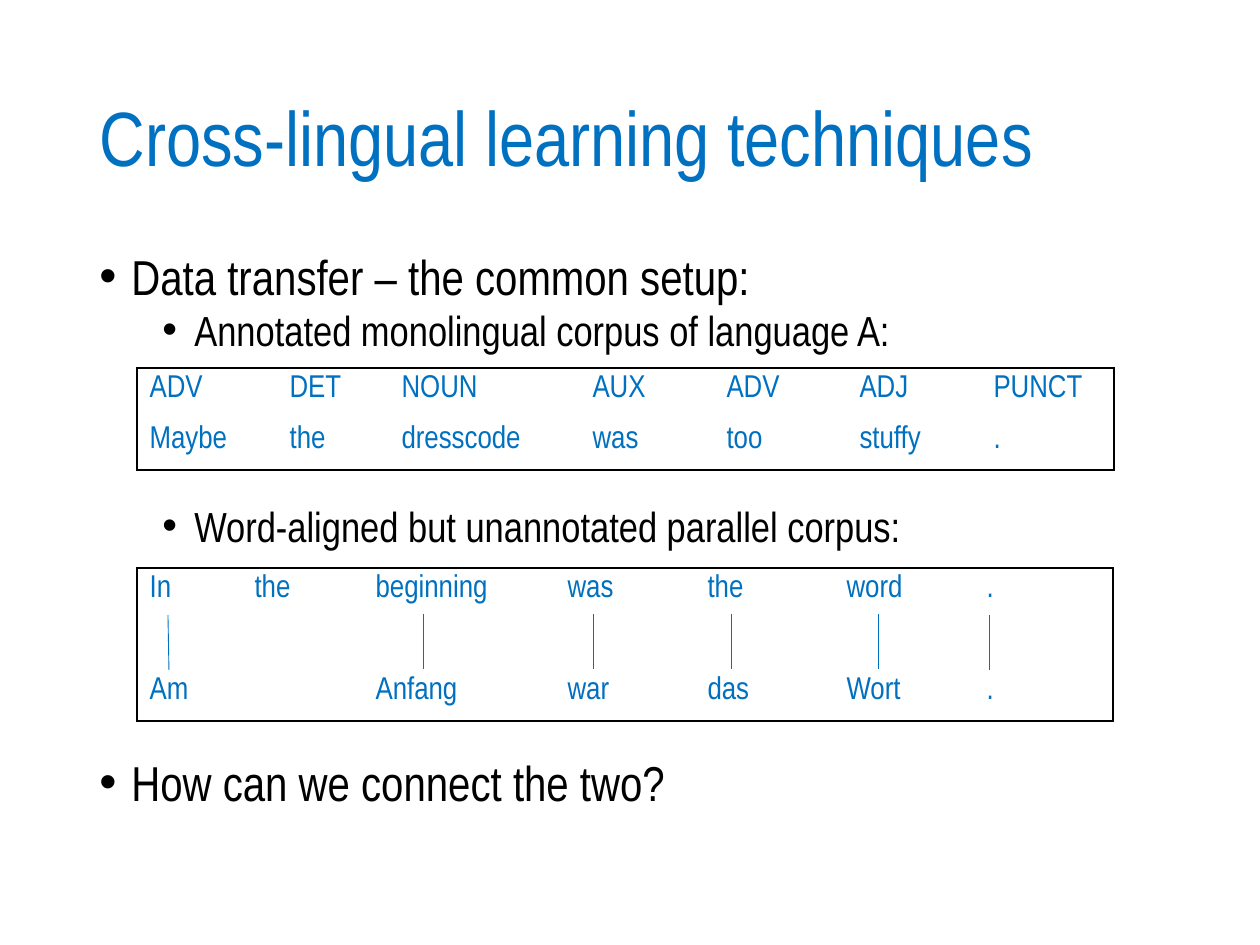
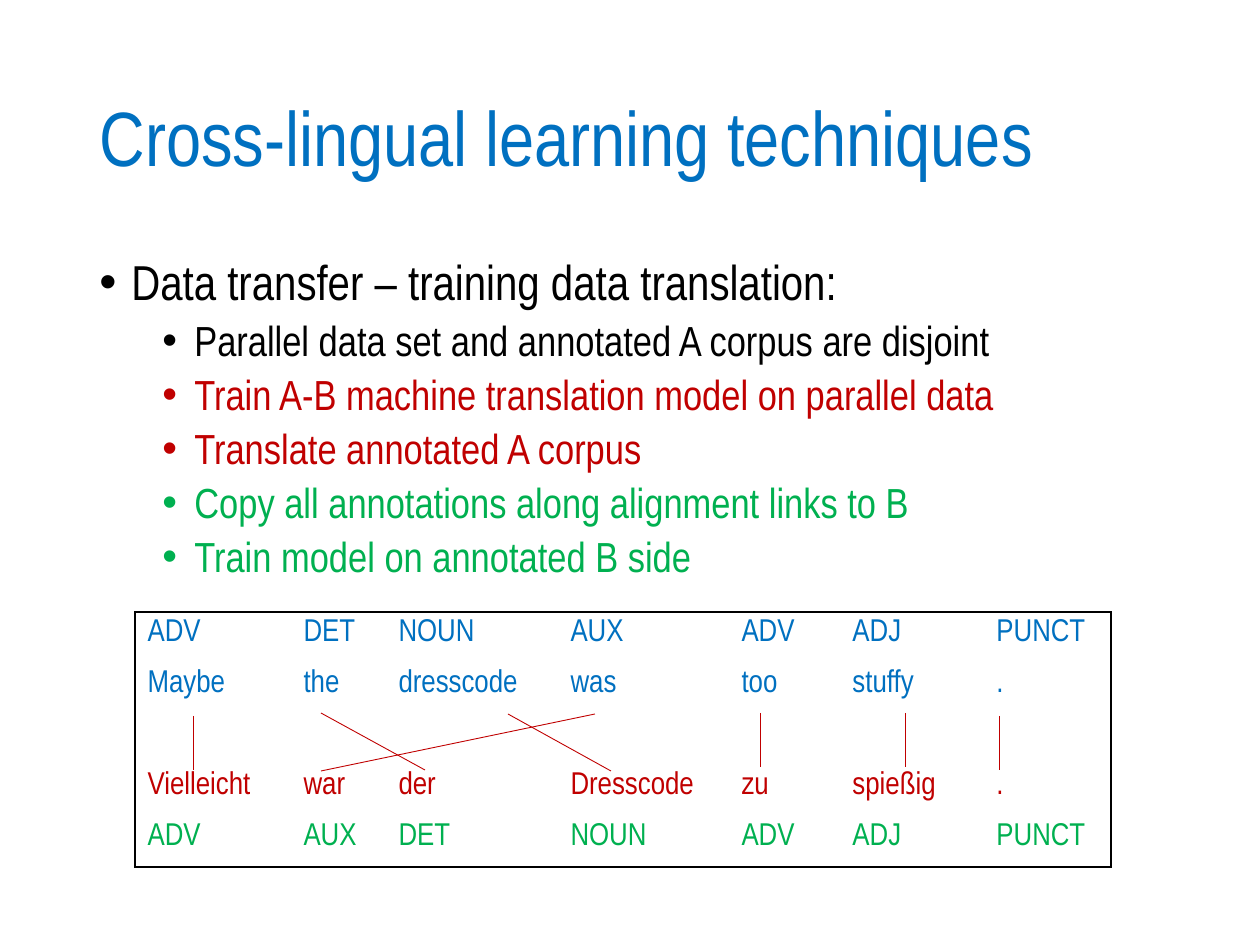
import dataclasses

import pptx
import pptx.dml.color
import pptx.enum.shapes
import pptx.enum.text
import pptx.oxml.ns
import pptx.util
from lxml import etree


@dataclasses.dataclass(frozen=True)
class Theme:
    """Colours, type sizes and line widths shared by the slides."""
    font: str = "Arial Narrow"
    blue: str = "0070C0"
    red: str = "C00000"
    green: str = "00B050"
    black: str = "000000"
    title_size: int = 44
    body_sizes: tuple = (28, 24)
    table_size: int = 18
    border: float = 1
    link: float = 0.5


THEME = Theme()
PX_PER_INCH = 126
SLIDE_SIZE = (1260, 945)
TITLE_BOX = (87, 50, 1086, 183)
BODY_BOX = (87, 252, 1086, 600)
ROW_HEIGHT = 51
HANGING = 32
BULLET_INDENTS = (32, 95)
SPACE_BEFORE = (10, 5)
TITLE = "Cross-lingual learning techniques"


def px(length):
    """Turn px into EMU."""
    return pptx.util.Emu(round(length * 914400 / PX_PER_INCH))


def rgb(value):
    """Turn a hex string into a colour."""
    return pptx.dml.color.RGBColor.from_string(value)


def add_run(paragraph, text, size, color):
    """Add one formatted run to a paragraph."""
    run = paragraph.add_run()
    run.text = text
    run.font.name = THEME.font
    run.font.size = pptx.util.Pt(size)
    run.font.color.rgb = rgb(color)


def add_titled_slide(presentation):
    """Add a title-only slide with its title placed and formatted."""
    slide = presentation.slides.add_slide(presentation.slide_layouts[5])
    title = slide.shapes.title
    title.left, title.top, title.width, title.height = map(px, TITLE_BOX)
    frame = title.text_frame
    frame.word_wrap = True
    frame.vertical_anchor = pptx.enum.text.MSO_ANCHOR.MIDDLE
    paragraph = frame.paragraphs[0]
    paragraph.alignment = pptx.enum.text.PP_ALIGN.LEFT
    paragraph.line_spacing = 0.9
    add_run(paragraph, TITLE, THEME.title_size, THEME.blue)
    return slide


def add_bullets(slide, box, items, line_spacing):
    """Add bullets given as (level, text, colour, extra space before)."""
    frame = slide.shapes.add_textbox(*map(px, box)).text_frame
    frame.word_wrap = True
    for index, (level, text, color, gap) in enumerate(items):
        paragraph = frame.add_paragraph() if index else frame.paragraphs[0]
        properties = paragraph._p.get_or_add_pPr()
        properties.set("marL", str(px(BULLET_INDENTS[level])))
        properties.set("indent", str(-px(HANGING)))
        font = etree.SubElement(properties, pptx.oxml.ns.qn("a:buFont"))
        font.set("typeface", "Arial")
        bullet = etree.SubElement(properties, pptx.oxml.ns.qn("a:buChar"))
        bullet.set("char", "•")
        paragraph.level = level
        paragraph.line_spacing = line_spacing
        if index:
            paragraph.space_before = pptx.util.Pt(SPACE_BEFORE[level] + gap)
        add_run(paragraph, text, THEME.body_sizes[level], color)


def set_borders(cell, edges):
    """Draw the borders marked true in edges and clear the others."""
    properties = cell._tc.get_or_add_tcPr()
    for name, drawn in edges.items():
        line = etree.SubElement(properties, pptx.oxml.ns.qn(f"a:{name}"))
        line.set("w", str(pptx.util.Pt(THEME.border)))
        if drawn:
            fill = etree.SubElement(line, pptx.oxml.ns.qn("a:solidFill"))
            color = etree.SubElement(fill, pptx.oxml.ns.qn("a:srgbClr"))
            color.set("val", THEME.black)
        else:
            etree.SubElement(line, pptx.oxml.ns.qn("a:noFill"))


def add_links(slide, left, top, links, color):
    """Draw alignment links whose ends are relative to the table corner."""
    for x1, y1, x2, y2 in links:
        connector = slide.shapes.add_connector(
            pptx.enum.shapes.MSO_CONNECTOR.STRAIGHT,
            px(left + x1), px(top + y1), px(left + x2), px(top + y2))
        connector.line.color.rgb = rgb(color)
        connector.line.width = pptx.util.Pt(THEME.link)
        etree.SubElement(connector._element.spPr, pptx.oxml.ns.qn("a:effectLst"))


def add_corpus(slide, left, top, widths, rows, links=(), link_color=THEME.blue):
    """Add an outlined table of (colour, words) rows and its links."""
    last_row, last_column = len(rows) - 1, len(widths) - 1
    table = slide.shapes.add_table(
        len(rows), len(widths), px(left), px(top),
        px(sum(widths)), px(ROW_HEIGHT * len(rows))).table
    table.first_row = table.horz_banding = False
    for column, width in zip(table.columns, widths):
        column.width = px(width)
    for row_index, (color, words) in enumerate(rows):
        table.rows[row_index].height = px(ROW_HEIGHT)
        for column_index in range(len(widths)):
            cell = table.cell(row_index, column_index)
            set_borders(cell, {
                "lnL": column_index == 0, "lnR": column_index == last_column,
                "lnT": row_index == 0, "lnB": row_index == last_row})
            cell.fill.background()
            paragraph = cell.text_frame.paragraphs[0]
            if words and words[column_index]:
                add_run(paragraph, words[column_index], THEME.table_size, color)
            else:
                paragraph.font.size = pptx.util.Pt(THEME.table_size)
    add_links(slide, left, top, links, link_color)


TAGS = ("ADV", "DET", "NOUN", "AUX", "ADV", "ADJ", "PUNCT")
WORDS = ("Maybe", "the", "dresscode", "was", "too", "stuffy", ".")
ANNOTATED_ROWS = [(THEME.blue, TAGS), (THEME.blue, WORDS)]
EMPTY_ROW = (THEME.blue, ())


def build_common_setup(presentation):
    """Build the slide on the two corpora."""
    slide = add_titled_slide(presentation)
    add_bullets(slide, BODY_BOX, [
        (0, "Data transfer – the common setup:", THEME.black, 0),
        (1, "Annotated monolingual corpus of language A:", THEME.black, 0),
        (1, "Word-aligned but unannotated parallel corpus:", THEME.black, 84),
        (0, "How can we connect the two?", THEME.black, 112),
    ], 0.8)
    add_corpus(slide, 137, 368, (140, 112, 191, 134, 133, 134, 133), ANNOTATED_ROWS)
    straight_links = [(x, 46, x, 101) for x in (286, 456, 594, 741)]
    add_corpus(slide, 137, 568, (105, 121, 192, 140, 139, 140, 139), [
        (THEME.blue, ("In", "the", "beginning", "was", "the", "word", ".")),
        EMPTY_ROW,
        (THEME.blue, ("Am", "", "Anfang", "war", "das", "Wort", ".")),
    ], [(31, 47, 32, 102), *straight_links, (852, 47, 852, 102)])


def build_translation(presentation):
    """Build the slide on translating the training data."""
    slide = add_titled_slide(presentation)
    add_bullets(slide, BODY_BOX, [
        (0, "Data transfer – training data translation:", THEME.black, 0),
        (1, "Parallel data set and annotated A corpus are disjoint", THEME.black, 0),
        (1, "Train A-B machine translation model on parallel data", THEME.red, 0),
        (1, "Translate annotated A corpus", THEME.red, 0),
        (1, "Copy all annotations along alignment links to B", THEME.green, 0),
        (1, "Train model on annotated B side", THEME.green, 0),
    ], 0.9)
    add_corpus(slide, 135, 612, (156, 95, 172, 171, 111, 144, 127), [
        *ANNOTATED_ROWS,
        EMPTY_ROW,
        (THEME.red, ("Vielleicht", "war", "der", "Dresscode", "zu", "spießig", ".")),
        (THEME.green, ("ADV", "AUX", "DET", "NOUN", "ADV", "ADJ", "PUNCT")),
    ], [
        (58, 104, 58, 158), (186, 101, 290, 158), (373, 102, 476, 159),
        (625, 101, 625, 155), (770, 101, 770, 155), (864, 104, 864, 158),
        (460, 102, 186, 159),
    ], THEME.red)


def main():
    """Build and save the presentation."""
    presentation = pptx.Presentation()
    presentation.slide_width, presentation.slide_height = map(px, SLIDE_SIZE)
    build_common_setup(presentation)
    build_translation(presentation)
    presentation.save("out.pptx")


if __name__ == "__main__":
    main()
